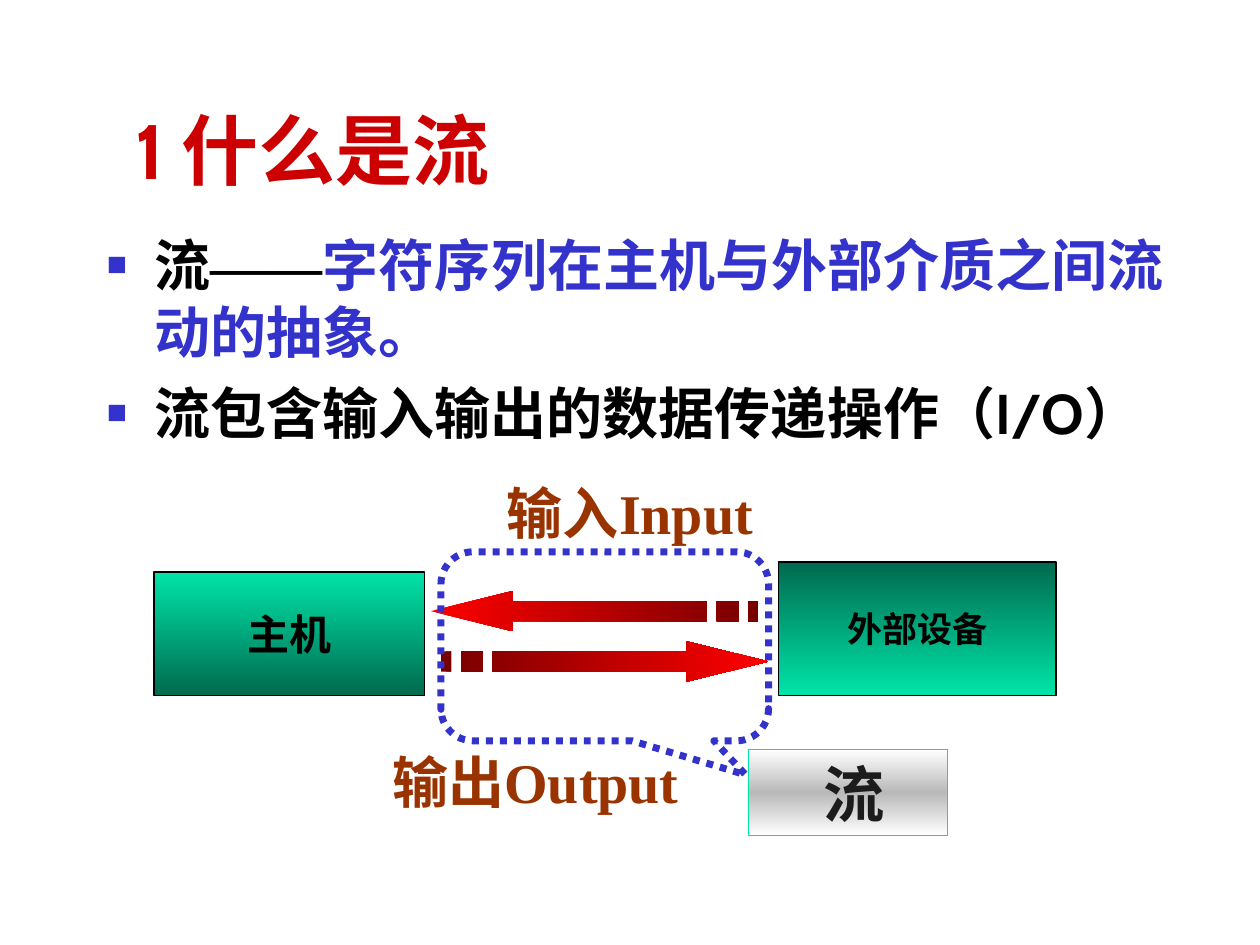
from lxml import etree
from pptx import Presentation
from pptx.dml.color import RGBColor
from pptx.enum.dml import MSO_LINE
from pptx.enum.shapes import MSO_SHAPE as Kind
from pptx.enum.text import MSO_ANCHOR as Anchor, PP_ALIGN as Align
from pptx.oxml import parse_xml
from pptx.oxml.ns import nsdecls, qn
from pptx.util import Inches, Pt

rgb = RGBColor.from_string


def shade(shape, colors, ang):
    """Fill a shape with evenly spaced gradient stops."""
    step = 100000 // (len(colors) - 1)
    stops = "".join(f'<a:gs pos="{i * step}"><a:srgbClr val="{c}"/></a:gs>'
                    for i, c in enumerate(colors))
    shape.fill.background()
    old = shape._element.spPr.find(qn("a:noFill"))
    old.getparent().replace(old, parse_xml(
        f'<a:gradFill {nsdecls("a")} rotWithShape="1"><a:gsLst>{stops}</a:gsLst>'
        f'<a:lin ang="{ang * 60000}" scaled="0"/></a:gradFill>'))
    shape.shadow.inherit = False


def write(par, text, size, face, color, east="Cabin"):
    """Add one bold run with a Latin and an East Asian face."""
    run = par.add_run()
    run.text = text
    font = run.font
    font.size, font.name, font.bold = Pt(size), face, True
    font.color.rgb = rgb(color)
    font._element.find(qn("a:latin")).addnext(
        parse_xml(f'<a:ea {nsdecls("a")} typeface="{east}"/>'))


prs = Presentation()
prs.slide_width, prs.slide_height = Inches(10), Inches(7.5)
shapes = prs.slides.add_slide(prs.slide_layouts[6]).shapes
serif = "Times New Roman"

# Title
box = shapes.add_textbox(Inches(0.98), Inches(0.6), Inches(8.52), Inches(1))
frame = box.text_frame
frame.word_wrap, frame.vertical_anchor = True, Anchor.BOTTOM
write(frame.paragraphs[0], "1 什么是流", 44, "Cabin", "CC0000")

# Bullets
points = [
    [("流", "000000", "Cabin"), ("——", "000000", serif),
     ("字符序列在主机与外部介质之间流动的抽象。", "3333CC", "Cabin")],
    [("流包含输入输出的数据传递操作（I/O）", "000000", "Cabin")],
]
box = shapes.add_textbox(Inches(0.75), Inches(1.78), Inches(8.82), Inches(4.85))
frame = box.text_frame
frame.word_wrap = True
for i, parts in enumerate(points):
    par = frame.add_paragraph() if i else frame.paragraphs[0]
    props = par._p.get_or_add_pPr()
    props.set("marL", str(Inches(0.38)))
    props.set("indent", str(-Inches(0.38)))
    color = etree.SubElement(props, qn("a:buClr"))
    etree.SubElement(color, qn("a:srgbClr"), val="3333CC")
    etree.SubElement(props, qn("a:buSzPct"), val="60000")
    etree.SubElement(props, qn("a:buFont"), typeface=serif)
    etree.SubElement(props, qn("a:buChar"), char="■")
    if i:
        par.space_before = Pt(8)
    for text, tint, east in parts:
        write(par, text, 32, east, tint, east)

# Host and device boxes
green = ["00E4A8", "006A4E"]
for text, x, y, w, h, size, colors in [
        ("主机", 1.22, 4.54, 2.15, 0.98, 24, green),
        ("外部设备", 6.18, 4.46, 2.2, 1.06, 20, green[::-1])]:
    box = shapes.add_shape(Kind.RECTANGLE, Inches(x), Inches(y), Inches(w), Inches(h))
    shade(box, colors, 90)
    box.line.color.rgb, box.line.width = rgb("000000"), Pt(1)
    frame = box.text_frame
    frame.word_wrap, frame.vertical_anchor = False, Anchor.MIDDLE
    par = frame.paragraphs[0]
    par.alignment = Align.CENTER
    write(par, text, size, "Montserrat", "000000", "Montserrat")

# Flow labels
for text, x, y, w in [("输出Output", 2.95, 5.88, 2.6), ("输入Input", 3.66, 3.75, 2.68)]:
    box = shapes.add_textbox(Inches(x), Inches(y), Inches(w), Inches(0.64))
    frame = box.text_frame
    frame.word_wrap = True
    par = frame.paragraphs[0]
    par.alignment = Align.CENTER
    write(par, text, 32, serif, "993300")

# Striped arrows: offsets run from the tail, along and across the axis
head = [(1.95, -0.16), (1.95, -0.08), (0.41, -0.08), (0.41, 0.08),
        (1.95, 0.08), (1.95, 0.16), (2.6, 0)]
bars = [[(a, -0.08), (a, 0.08), (b, 0.08), (b, -0.08)]
        for a, b in [(0.16, 0.33), (0, 0.08)]]
red = ["760000", "FF0000"]
for tail, mid, way, colors in [(3.5, 5.25, 1, red), (6.02, 4.85, -1, red[::-1])]:
    pen = None
    for part in [head] + bars:
        pts = [(Inches(tail + way * a), Inches(mid + b)) for a, b in part]
        if pen:
            pen.move_to(*pts[0])
        else:
            pen = shapes.build_freeform(*pts[0])
        pen.add_line_segments(pts[1:], close=True)
    arrow = pen.convert_to_shape()
    shade(arrow, colors, 0)
    arrow.line.fill.background()

# Dotted callout around the arrows
call = shapes.add_shape(Kind.ROUNDED_RECTANGULAR_CALLOUT,
                        Inches(3.5), Inches(4.38), Inches(2.6), Inches(1.5))
for i, value in enumerate([0.43, 0.68, 0.17]):
    call.adjustments[i] = value
call.fill.background()
call.shadow.inherit = False
call.line.color.rgb, call.line.width = rgb("3333CC"), Pt(4)
call.line.dash_style = MSO_LINE.ROUND_DOT

# Callout label
box = shapes.add_shape(Kind.RECTANGLE, Inches(5.94), Inches(5.95), Inches(1.58), Inches(0.68))
shade(box, ["FFFFFF", "B9B9B9", "FFFFFF"], 90)
box.line.color.rgb, box.line.width = rgb("00E4A8"), Pt(0.75)
frame = box.text_frame
frame.word_wrap, frame.vertical_anchor = True, Anchor.MIDDLE
par = frame.paragraphs[0]
par.alignment = Align.LEFT
par._p.get_or_add_pPr().set("marL", str(Inches(0.5)))
write(par, "流", 35, "Noto Sans CJK SC", "1C1C1C", "Noto Sans CJK SC")

prs.save("out.pptx")
